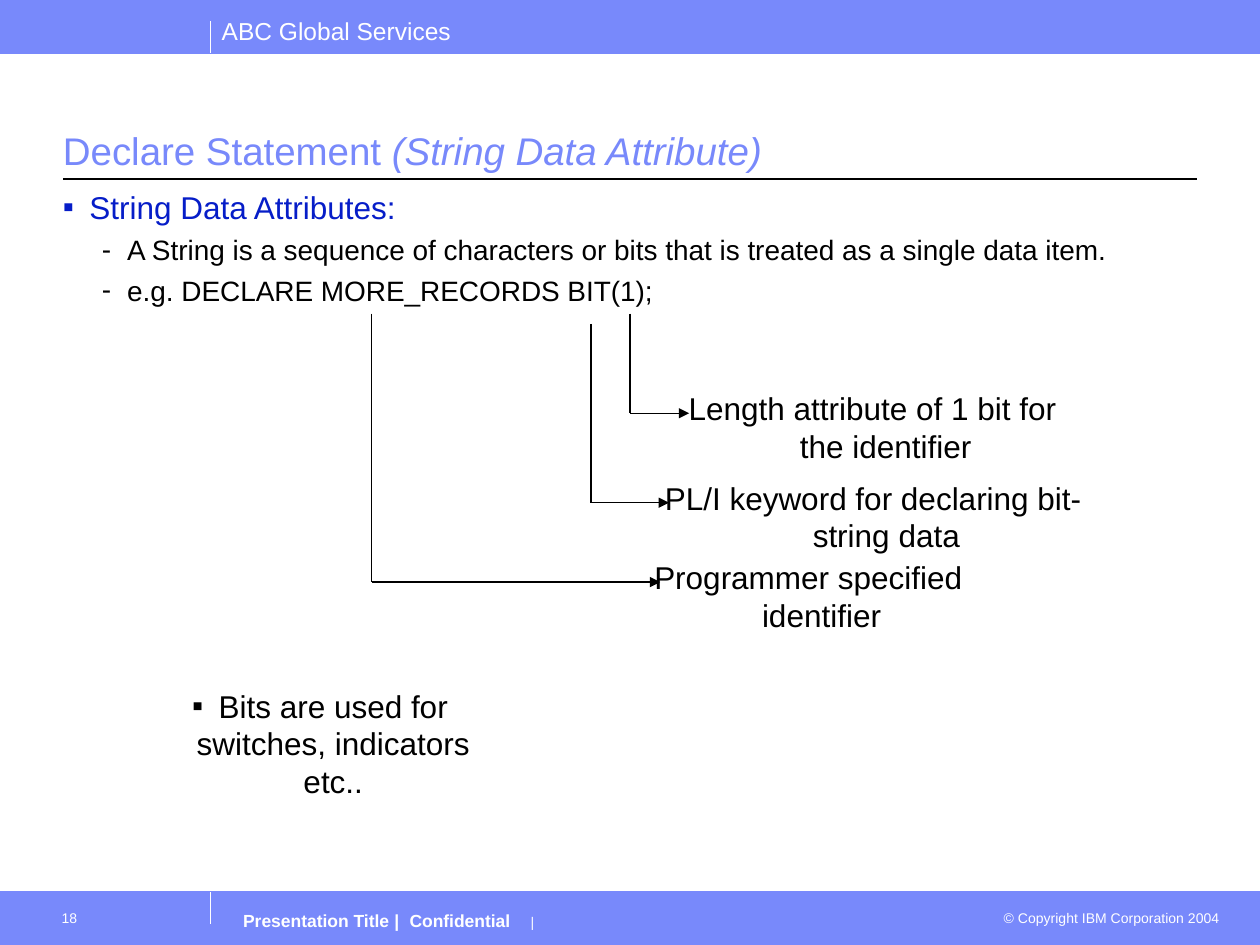
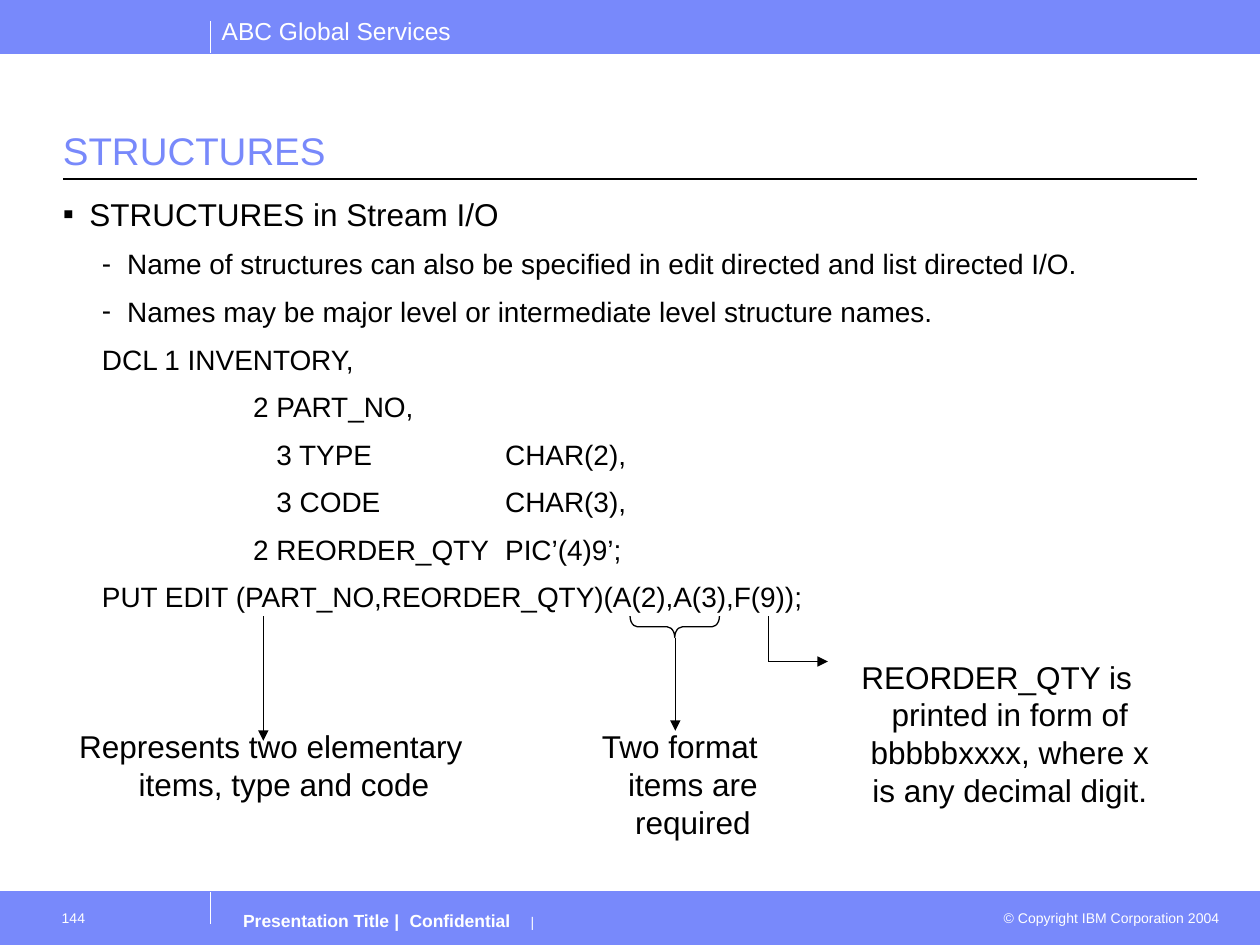
from lxml.etree import SubElement
from pptx import Presentation
from pptx.dml.color import RGBColor
from pptx.enum.shapes import MSO_CONNECTOR, MSO_SHAPE
from pptx.enum.text import MSO_ANCHOR, PP_ALIGN
from pptx.oxml.ns import qn
from pptx.util import Inches, Pt

BLUE, NAVY, BLACK, WHITE = "7889FB", "061DC8", "000000", "FFFFFF"
FLAT, HANG, ITEM = (0, 0), (0.21, -0.21), (0.51, -0.2)
color = RGBColor.from_string


def write(page, box, rows, size=18, tint=BLACK, align=PP_ALIGN.LEFT, space=1.0, tab=1):
    frame = page.shapes.add_textbox(*map(Inches, box)).text_frame
    frame.word_wrap = True
    frame.margin_left = frame.margin_right = 0
    for i, (text, mark, dent, *look) in enumerate(rows):
        para = frame.paragraphs[0] if i == 0 else frame.add_paragraph()
        para.text = text
        pts, shade = look or (size, tint)
        props = para._p.get_or_add_pPr()
        props.set("marL", str(Inches(dent[0])))
        props.set("indent", str(Inches(dent[1])))
        props.set("defTabSz", str(Inches(tab)))
        if mark:
            fill = SubElement(props, qn("a:buClr"))
            SubElement(fill, qn("a:srgbClr"), val=shade)
            SubElement(props, qn("a:buFont"), typeface="Arial")
            SubElement(props, qn("a:buChar"), char=mark)
        para.font.name = "Arial"
        para.font.size = Pt(pts)
        para.font.color.rgb = color(shade)
        para.alignment = align
        para.line_spacing = space
        if i:
            para.space_before = Pt(8)
    return frame


def draw(page, start, end, tint=BLACK, arrow=False):
    line = page.shapes.add_connector(
        MSO_CONNECTOR.STRAIGHT, *map(Inches, start + end))
    line.line.color.rgb = color(tint)
    line.line.width = Pt(0.75)
    if arrow:
        SubElement(line.line._get_or_add_ln(), qn("a:tailEnd"), type="triangle")
    SubElement(line._element.spPr, qn("a:effectLst"))


deck = Presentation()
deck.slide_width, deck.slide_height = Inches(10), Inches(7.5)

text_one = [
    ("String Data Attributes:", "▪", HANG, 18, NAVY),
    ("A String is a sequence of characters or bits that is treated as a single data item.", "-", ITEM),
    ("e.g. DECLARE MORE_RECORDS BIT(1);", "-", ITEM),
]
text_two = [
    ("STRUCTURES in Stream I/O", "▪", HANG, 18, BLACK),
    ("Name of structures can also be specified in edit directed and list directed I/O.", "-", ITEM),
    ("Names may be major level or intermediate level structure names.", "-", ITEM),
]
code = [
    "DCL 1 INVENTORY,",
    "\t\t2 PART_NO,",
    "\t\t   3 TYPE\t\tCHAR(2),",
    "\t\t   3 CODE\tCHAR(3),",
    "\t\t2 REORDER_QTY\tPIC’(4)9’;",
    "PUT EDIT (PART_NO,REORDER_QTY)(A(2),A(3),F(9));",
]
text_two += [(row, "", ITEM) for row in code]

notes_one = [
    ((5.31, 3.04, 3.23, 0.44), "Length attribute of 1 bit for the identifier", ""),
    ((5.16, 3.75, 3.54, 0.44), "PL/I keyword for declaring bit-string data", ""),
    ((4.84, 4.38, 3.15, 0.44), "Programmer specified identifier", ""),
    ((1.1, 5.4, 2.88, 0.44), "Bits are used for switches, indicators etc..", "▪"),
]
notes_two = [
    ((0.35, 5.72, 3.6, 0.44), "Represents two elementary items, type and code", ""),
    ((4.53, 5.72, 1.73, 0.78), "Two format items are required", ""),
    ((6.65, 5.17, 2.52, 1.13), "REORDER_QTY is printed in form of bbbbbxxxx, where x is any decimal digit.", ""),
]
bends_one = [(2.95, 2.49, 4.62, 5.24), (4.69, 2.57, 3.99, 5.31), (5, 2.49, 3.28, 5.47)]
bends_two = [(6.1, 4.89, 5.25, 6.57)]

pages = [
    ("18", "Declare Statement", " (String Data Attribute)", text_one, 0.8, 1.07, notes_one, bends_one),
    ("144", "STRUCTURES", "", text_two, 1.0, 3.43, notes_two, bends_two),
]

for number, title, extra, body, space, height, notes, bends in pages:
    page = deck.slides.add_slide(deck.slide_layouts[6])
    for top in (7.08, 0):
        band = page.shapes.add_shape(
            MSO_SHAPE.RECTANGLE, 0, Inches(top), Inches(10), Inches(0.42))
        band.shadow.inherit = False
        band.fill.solid()
        band.fill.fore_color.rgb = band.line.color.rgb = color(BLUE)
        band.line.width = Pt(0.75)
    for top in (0.17, 7.08):
        draw(page, (1.67, top + 0.25), (1.67, top), WHITE)
    draw(page, (0.5, 1.42), (9.5, 1.42))

    write(page, (1.76, 0.08, 2.5, 0.34), [("ABC Global Services", "", FLAT)], 14, WHITE)
    write(page, (7.23, 7.17, 2.45, 0.24),
          [("© Copyright IBM Corporation 2004", "", FLAT)], 8, WHITE, PP_ALIGN.RIGHT)
    write(page, (0.49, 7.17, 1.07, 0.33), [(number, "", FLAT)], 8, WHITE)
    foot = write(page, (1.93, 7.17, 4.3, 0.33),
                 [("Presentation Title\t|\tConfidential", "", FLAT)], 10, WHITE, tab=0.12)
    foot.paragraphs[0].runs[0].font.bold = True
    rule = foot.paragraphs[0].add_run()
    rule.text = "\t\t|"
    rule.font.size = Pt(8)

    head = write(page, (0.5, 0.5, 9, 0.92), [(title, "", FLAT)], 22, BLUE)
    head.vertical_anchor = MSO_ANCHOR.BOTTOM
    if extra:
        run = head.paragraphs[0].add_run()
        run.text = extra
        run.font.italic = True
    write(page, (0.5, 1.5, 9, height), body, 16, space=space)

    for box, text, mark in notes:
        write(page, box, [(text, mark, HANG)], align=PP_ALIGN.CENTER)
    for x, top, low, end in bends:
        draw(page, (x, top), (x, low))
        draw(page, (x, low), (end, low), arrow=True)

draw(page, (2.09, 4.89), (2.09, 5.88), arrow=True)
draw(page, (5.36, 5.06), (5.36, 5.8), arrow=True)
brace = page.shapes.add_shape(
    MSO_SHAPE.RIGHT_BRACE, Inches(5.27), Inches(4.62), Inches(0.17), Inches(0.71))
brace.rotation = 90
brace.adjustments[0] = 0.35
brace.shadow.inherit = False
brace.fill.background()
brace.line.color.rgb = color(BLACK)
brace.line.width = Pt(0.75)

deck.save("out.pptx")
